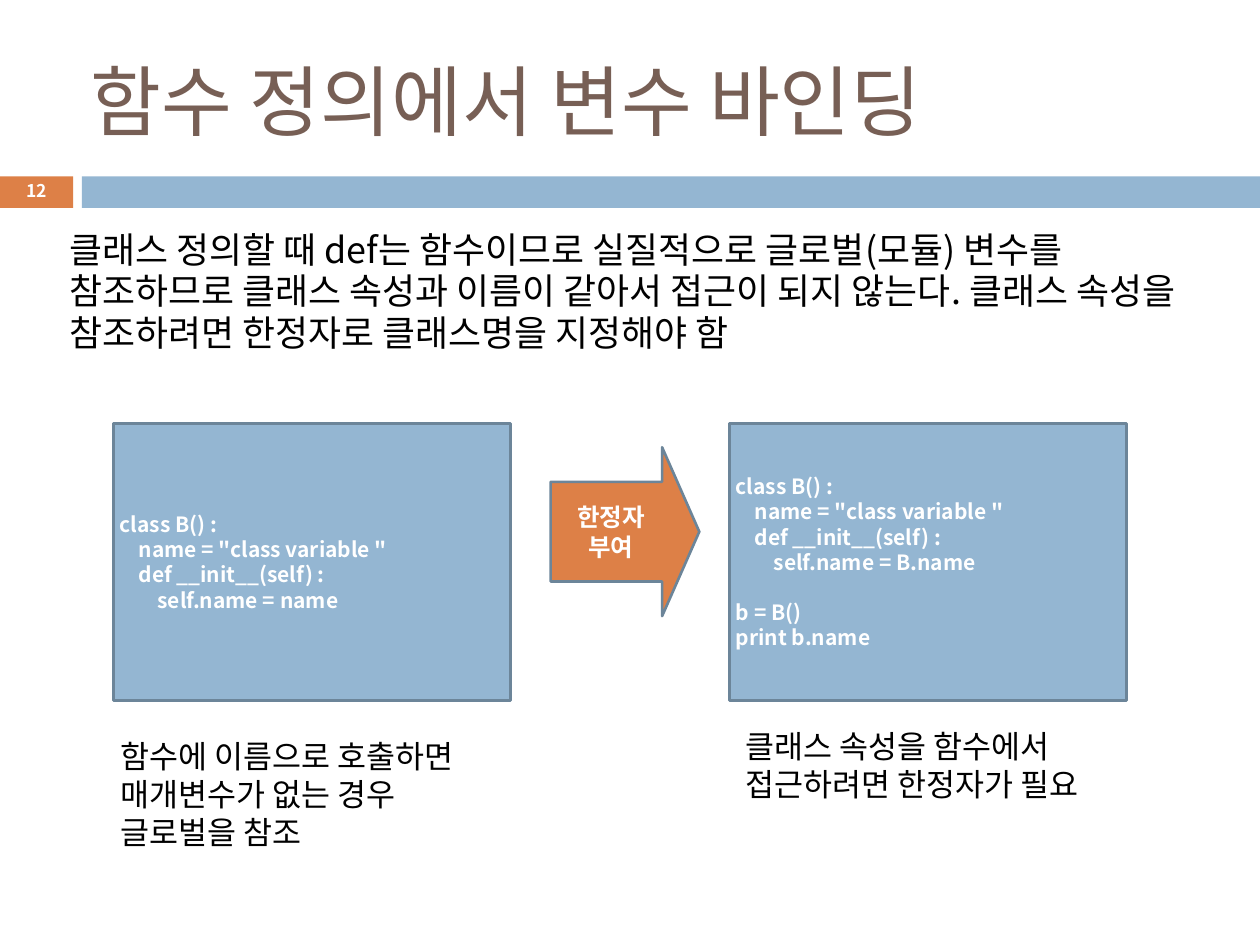
from pptx import Presentation
from pptx.dml.color import RGBColor
from pptx.enum.shapes import MSO_SHAPE
from pptx.enum.text import MSO_ANCHOR, MSO_AUTO_SIZE, PP_ALIGN
from pptx.oxml.ns import qn
from pptx.util import Emu, Inches, Pt

BROWN = RGBColor(0x77, 0x5F, 0x55)
ORANGE = RGBColor(0xDD, 0x80, 0x47)
BLUE = RGBColor(0x94, 0xB6, 0xD2)
SLATE = RGBColor(0x6C, 0x85, 0x99)
BLACK = RGBColor(0, 0, 0)
WHITE = RGBColor(0xFF, 0xFF, 0xFF)

FONT = "Noto Sans CJK KR"
COLUMNS, ROWS = 100, 75
INDENT = Inches(0.15)


def write(frame, lines, size=18, color=BLACK, bold=False, align=PP_ALIGN.LEFT,
          anchor=MSO_ANCHOR.TOP, wrap=True, spacing=None, before=0):
    """Fill a frame; each line is (text, indent level, extra lines above)."""
    frame.auto_size = MSO_AUTO_SIZE.NONE
    frame.word_wrap = wrap
    frame.vertical_anchor = anchor
    frame.margin_left = frame.margin_right = Inches(0.05)
    frame.margin_top = frame.margin_bottom = Inches(0.05)
    for index, (text, level, gap) in enumerate(lines):
        para = frame.add_paragraph() if index else frame.paragraphs[0]
        para.alignment = align
        para.space_before = Pt(before + gap * size * 1.2)
        if spacing:
            para.line_spacing = spacing
        properties = para._p.get_or_add_pPr()
        properties.set("marL", str(level * INDENT))
        properties.set("indent", "0")
        properties.append(properties.makeelement(qn("a:buNone"), {}))
        span = para.add_run()
        span.text = text
        span.font.size = Pt(size)
        span.font.bold = bold
        span.font.color.rgb = color
        span.font.name = FONT
        east_asian = span.font._element.makeelement(qn("a:ea"), {"typeface": FONT})
        span.font._element.find(qn("a:latin")).addnext(east_asian)


def plain(*texts):
    return [(text, 0, 0) for text in texts]


class SlideBuilder:
    """Places elements on a grid of COLUMNS by ROWS."""

    def __init__(self, deck):
        self.cell_width = deck.slide_width / COLUMNS
        self.cell_height = deck.slide_height / ROWS
        self.page = deck.slides.add_slide(deck.slide_layouts[1])

    def area(self, column, row, columns, rows):
        return (Emu(round(column * self.cell_width)), Emu(round(row * self.cell_height)),
                Emu(round(columns * self.cell_width)), Emu(round(rows * self.cell_height)))

    def placeholder(self, index, place, text, **style):
        box = self.page.placeholders[index]
        box.left, box.top, box.width, box.height = self.area(*place)
        write(box.text_frame, plain(text), **style)

    def shape(self, kind, place, fill, line=None):
        shape = self.page.shapes.add_shape(kind, *self.area(*place))
        shape.shadow.inherit = False
        shape.fill.solid()
        shape.fill.fore_color.rgb = fill
        if line is None:
            shape.line.fill.background()
        else:
            shape.line.color.rgb = line
            shape.line.width = Pt(1.5)
        return shape

    def text(self, place, text, **style):
        box = self.page.shapes.add_textbox(*self.area(*place))
        write(box.text_frame, plain(text), **style)

    def code(self, place, lines):
        panel = self.shape(MSO_SHAPE.RECTANGLE, place, BLUE, SLATE)
        write(panel.text_frame, lines, size=12, color=WHITE, bold=True,
              anchor=MSO_ANCHOR.MIDDLE)

    def arrow(self, place, *texts):
        arrow = self.shape(MSO_SHAPE.RIGHT_ARROW, place, ORANGE, SLATE)
        arrow.adjustments[0] = 0.59
        arrow.adjustments[1] = 0.25
        write(arrow.text_frame, plain(*texts), size=14, color=WHITE, bold=True,
              align=PP_ALIGN.CENTER, anchor=MSO_ANCHOR.MIDDLE)
        arrow.text_frame.margin_right = Inches(0.1)


deck = Presentation()
deck.slide_width, deck.slide_height = Inches(10), Inches(7.5)
slide = SlideBuilder(deck)

# Header band, title and page number
slide.shape(MSO_SHAPE.RECTANGLE, (0, 14, 5.8, 2.5), ORANGE)
slide.shape(MSO_SHAPE.RECTANGLE, (6.5, 14, 93.5, 2.5), BLUE)
slide.placeholder(0, (6.7, 2.5, 89.2, 10.8), "함수 정의에서 변수 바인딩",
                  size=44, color=BROWN, anchor=MSO_ANCHOR.MIDDLE)
slide.text((1.6, 13.9, 2.6, 2.7), "12", size=10, color=WHITE, bold=True, wrap=False,
           align=PP_ALIGN.CENTER, anchor=MSO_ANCHOR.MIDDLE, spacing=0.8)

# Explanation
slide.placeholder(1, (5, 17.8, 90, 15),
                  "클래스 정의할 때 def는 함수이므로 실질적으로 글로벌(모듈) 변수를 "
                  "참조하므로 클래스 속성과 이름이 같아서 접근이 되지 않는다. "
                  "클래스 속성을 참조하려면 한정자로 클래스명을 지정해야 함",
                  size=20.5, spacing=0.96, before=6)

# Code before and after qualifying the name
class_head = [("class B() :", 0, 0), ('name = "class variable "', 1, 0),
              ("def __init__(self) :", 1, 0)]
slide.code((9, 33.6, 31.5, 22), class_head + [("self.name = name", 2, 0)])
slide.code((57.9, 33.6, 31.5, 22),
           class_head + [("self.name = B.name", 2, 0),
                         ("b = B()", 0, 1), ("print b.name", 0, 0)])
slide.arrow((43.7, 35.5, 11.8, 13.4), "한정자", "부여")

# Captions
slide.text((9.1, 58, 29.9, 10.1), "함수에 이름으로 호출하면 매개변수가 없는 경우 글로벌을 참조")
slide.text((58.7, 57.2, 29.9, 10.1), "클래스 속성을 함수에서 접근하려면 한정자가 필요")

deck.save("out.pptx")
